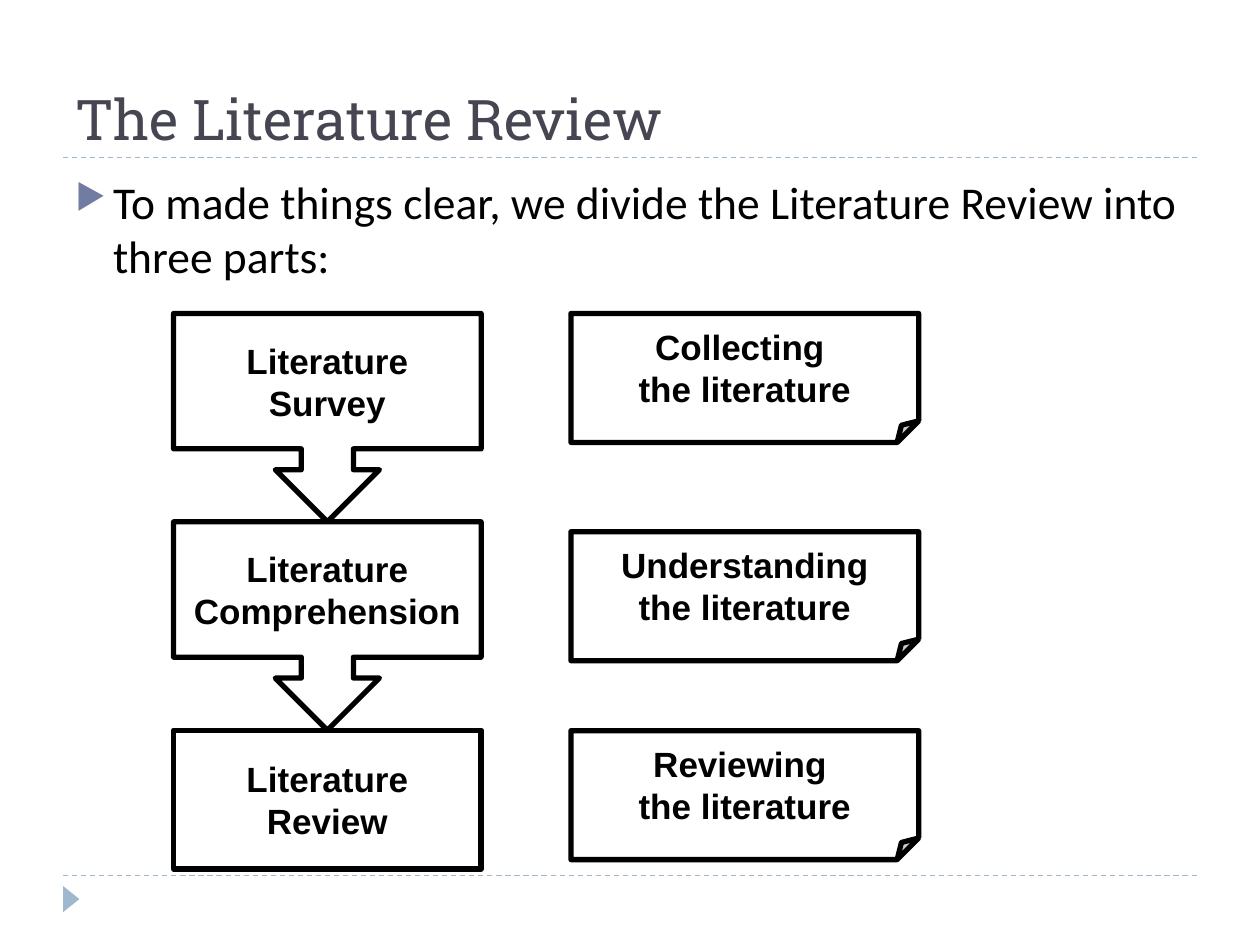
"""Build the literature review slide."""
from lxml import etree
from pptx import Presentation
from pptx import util as u
from pptx.dml.color import RGBColor
from pptx.enum import dml, shapes, text
from pptx.oxml.ns import qn

HUES = {"ink": "000000", "paper": "FFFFFF", "title": "464653",
        "rule": "9FB8CD", "mark": "727CA3"}
KINDS = shapes.MSO_SHAPE


def hue(name):
    return RGBColor.from_string(HUES[name])


def bullet(par, sign, color, size, indent):
    props = par._p.get_or_add_pPr()
    props.set("marL", str(u.Cm(indent)))
    props.set("indent", str(-u.Cm(indent)))
    tint = etree.SubElement(props, qn("a:buClr"))
    etree.SubElement(tint, qn("a:srgbClr"), val=HUES[color])
    etree.SubElement(props, qn("a:buSzPct"), val=str(size * 1000))
    etree.SubElement(props, qn("a:buChar"), char=sign)


def write(frame, lines, font="Arial", size=20, color="ink", bold=False,
          align="LEFT", anchor="TOP", wrap=True, sign=None):
    frame.word_wrap = wrap
    frame.vertical_anchor = text.MSO_ANCHOR[anchor]
    for i, line in enumerate(lines):
        par = frame.add_paragraph() if i else frame.paragraphs[0]
        if sign:
            bullet(par, sign, "mark", 76, 0.76)
        par.alignment = text.PP_ALIGN[align]
        run = par.add_run()
        run.text = line
        run.font.name, run.font.size, run.font.bold = font, u.Pt(size), bold
        run.font.color.rgb = hue(color)


class Deck:
    def __init__(self):
        self.show = Presentation()
        self.show.slide_width, self.show.slide_height = u.Cm(25.4), u.Cm(19.05)
        self.slide = self.show.slides.add_slide(self.show.slide_layouts[6])
        self.pen = 3

    def rule(self, y):
        line = self.slide.shapes.add_connector(
            shapes.MSO_CONNECTOR.STRAIGHT, u.Cm(1.27), u.Cm(y), u.Cm(24.13), u.Cm(y))
        line.line.color.rgb = hue("rule")
        line.line.width = u.Pt(0.75)
        line.line.dash_style = dml.MSO_LINE.DASH
        etree.SubElement(line._element.spPr, qn("a:effectLst"))

    def label(self, box, lines, **style):
        area = self.slide.shapes.add_textbox(*map(u.Cm, box))
        write(area.text_frame, lines, **style)

    def shape(self, kind, box, fill="paper", line="ink"):
        item = self.slide.shapes.add_shape(kind, *map(u.Cm, box))
        item.shadow.inherit = False
        item.fill.solid()
        item.fill.fore_color.rgb = hue(fill)
        if line:
            item.line.color.rgb = hue(line)
            item.line.width = u.Pt(self.pen)
        else:
            item.line.fill.background()
        return item

    def block(self, kind, box, lines):
        item = self.shape(kind, box)
        write(item.text_frame, lines, bold=True, align="CENTER",
              anchor="MIDDLE", wrap=False)


def main():
    deck = Deck()
    deck.rule(17.65)
    deck.rule(3.18)
    deck.shape(KINDS.ISOSCELES_TRIANGLE, (1.17, 17.96, 0.53, 0.33),
               "rule", None).rotation = 90
    deck.label((1.27, 0.43, 22.86, 2.75), ["The Literature Review"],
               font="Roboto Slab", size=32, color="title", anchor="BOTTOM")
    deck.label((1.27, 3.38, 22.86, 13.72),
               ["To made things clear, we divide the Literature Review into three parts:"],
               font="Calibri", size=26, sign="▶")

    top, step = 6.32, 4.2
    for i, name in enumerate(("Survey", "Comprehension", "Review")):
        last = name == "Review"
        kind = KINDS.RECTANGLE if last else KINDS.DOWN_ARROW_CALLOUT
        deck.block(kind, (3.5, top + i * step, 6.2, 2.8 if last else step),
                   ["Literature", name])

    notes = (("Collecting ", 6.32), ("Understanding", 10.72), ("Reviewing ", 14.73))
    for verb, y in notes:
        deck.block(KINDS.FOLDED_CORNER, (11.51, y, 7.01, 2.6),
                   [verb, "the literature"])
    deck.show.save("out.pptx")


if __name__ == "__main__":
    main()
